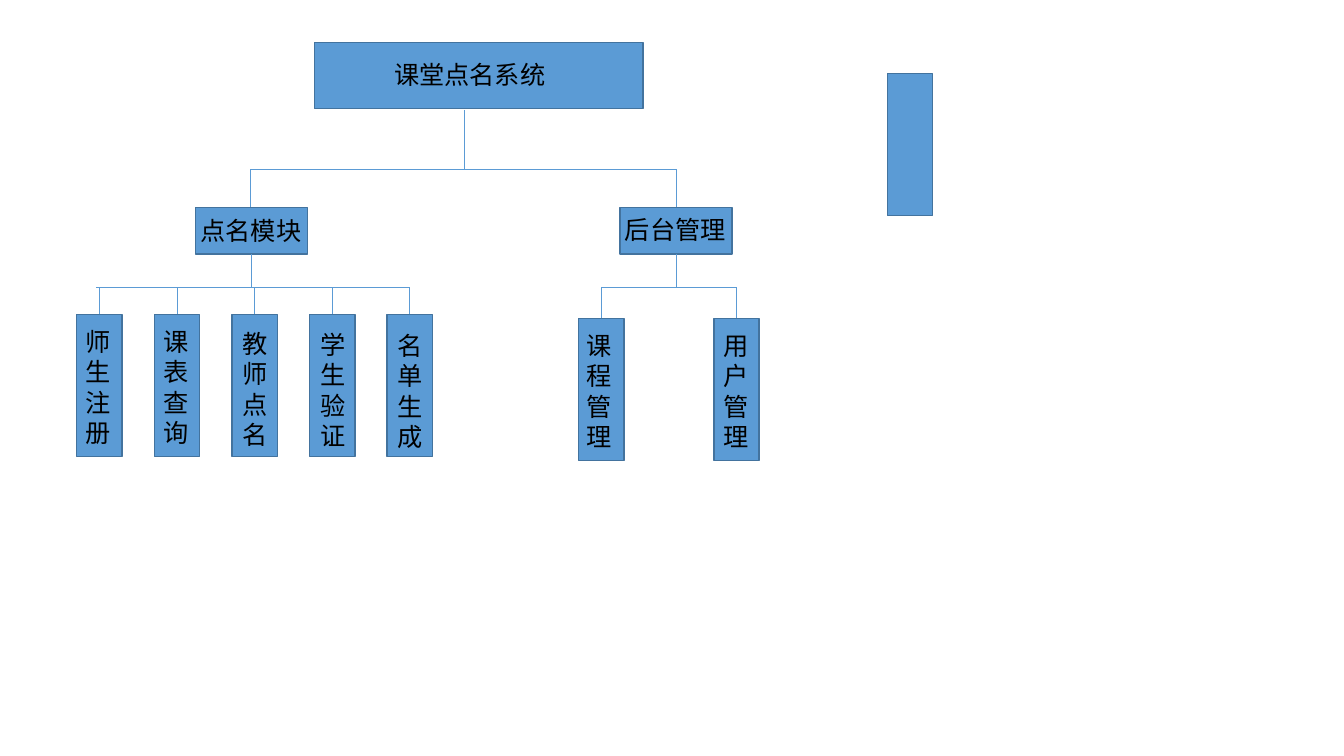
from pptx import Presentation
from pptx.dml.color import RGBColor
from pptx.enum.shapes import MSO_CONNECTOR, MSO_SHAPE
from pptx.enum.text import MSO_AUTO_SIZE
from pptx.oxml.ns import qn
from pptx.util import Inches, Pt
from lxml import etree

COLORS = {"fill": "5B9BD5", "edge": "43739E", "text": "000000"}
LEAF_W, LEAF_H, LABEL_H = 0.45, 1.41, 1.3
HEAD_W, HEAD_H = 1.11, 0.46
TRUNK_Y, HEAD_Y = 1.68, 2.06


def color(name):
    """Return the named colour."""
    return RGBColor.from_string(COLORS[name])


def add_box(slide, x, y, w, h):
    """Draw a filled rectangle."""
    sp = slide.shapes.add_shape(MSO_SHAPE.RECTANGLE, Inches(x), Inches(y), Inches(w), Inches(h))
    sp.shadow.inherit = False
    sp.fill.solid()
    sp.fill.fore_color.rgb = color("fill")
    sp.line.color.rgb = color("edge")
    sp.line.width = Pt(1)


def add_text(slide, text, x, y, w, h, size=18, font="Calibri", wrap=False):
    """Write text with one paragraph per line."""
    tf = slide.shapes.add_textbox(Inches(x), Inches(y), Inches(w), Inches(h)).text_frame
    tf.word_wrap = wrap
    tf.auto_size = MSO_AUTO_SIZE.SHAPE_TO_FIT_TEXT
    tf.text = text
    for p in tf.paragraphs:
        for r in p.runs:
            r.font.size = Pt(size)
            r.font.name = font
            r.font.color.rgb = color("text")


def add_line(slide, x1, y1, x2, y2):
    """Draw a thin connector."""
    line = slide.shapes.add_connector(
        MSO_CONNECTOR.STRAIGHT, Inches(x1), Inches(y1), Inches(x2), Inches(y2))
    line.line.color.rgb = color("fill")
    line.line.width = Pt(0.5)
    etree.SubElement(line._element.spPr, qn("a:effectLst"))


def add_root(slide, x, y, w, h, title, branches):
    """Draw the system box and the lines down to its modules."""
    add_box(slide, x, y, w, h)
    add_text(slide, title, x + 0.69, y + 0.12, 1.7, 0.4)
    trunk_x = x + 1.49
    add_line(slide, trunk_x, y + h + 0.01, trunk_x, TRUNK_Y)
    add_line(slide, branches[0], TRUNK_Y, branches[-1], TRUNK_Y)
    for branch_x in branches:
        add_line(slide, branch_x, TRUNK_Y, branch_x, HEAD_Y)


def add_module(slide, x, y, step, head_x, title, title_dy, rail_dx, leaves):
    """Draw a module head, its rail and its row of evenly spaced leaves."""
    rail_y = 2.85
    mid = head_x + HEAD_W / 2
    add_box(slide, head_x, HEAD_Y, HEAD_W, HEAD_H)
    add_text(slide, title, head_x - 0.05, HEAD_Y + title_dy, 1.2, 0.4)
    add_line(slide, mid, HEAD_Y + HEAD_H, mid, rail_y)
    centers = [x + i * step + LEAF_W / 2 for i in range(len(leaves))]
    add_line(slide, centers[0] - rail_dx, rail_y, centers[-1], rail_y)
    for center, (name, dx, dy) in zip(centers, leaves):
        left = center - LEAF_W / 2
        add_line(slide, center, rail_y, center, y)
        add_box(slide, left, y, LEAF_W, LEAF_H)
        add_text(slide, name, left + dx, y + dy, LEAF_W, LABEL_H, wrap="\n" not in name)


def main():
    """Build the slide and save it."""
    prs = Presentation()
    prs.slide_width, prs.slide_height = Inches(13.33), Inches(7.5)
    slide = prs.slides.add_slide(prs.slide_layouts[6])
    add_root(slide, 3.12, 0.42, 3.26, 0.66, "课堂点名系统", [2.48, 6.71])
    add_module(slide, 0.76, 3.12, 0.77, 1.94, "点名模块", 0.03, 0.03, [
        ("师\n生\n注\n册", -0.01, 0.07),
        ("课\n表\n查\n询", -0.01, 0.07),
        ("教\n师\n点\n名", 0.01, 0.09),
        ("学\n生\n验\n证", 0.01, 0.1),
        ("名单生成", 0, 0.11),
    ])
    add_module(slide, 5.74, 3.16, 1.34, 6.15, "后台管理", 0.02, 0, [
        ("课\n程\n管\n理", -0.02, 0.07),
        ("用\n户\n管\n理", 0, 0.07),
    ])
    add_box(slide, 8.8, 0.73, LEAF_W, LEAF_H)
    prs.save("out.pptx")


main()
